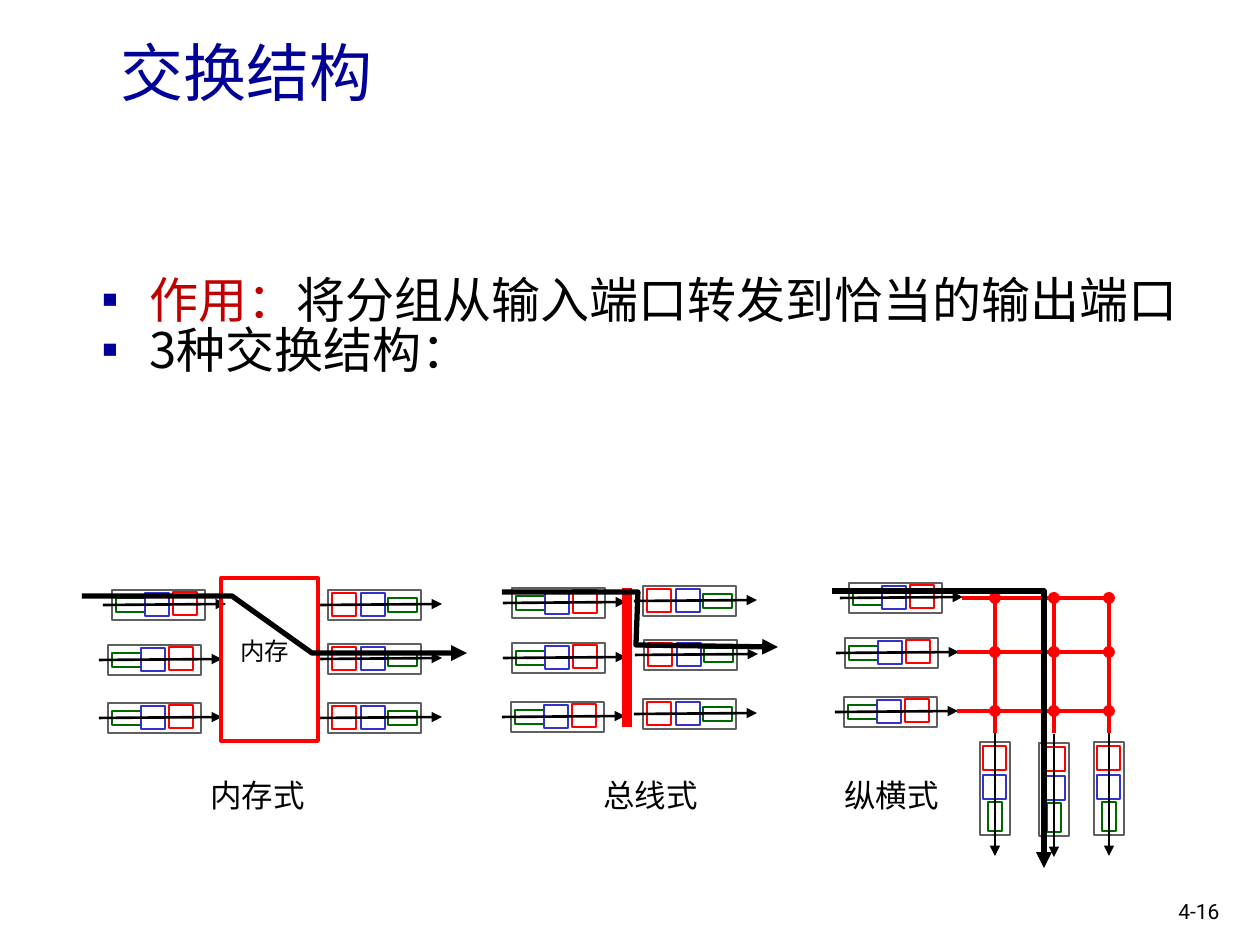
from lxml import etree
from pptx import Presentation
from pptx.dml.color import RGBColor
from pptx.enum.shapes import MSO_CONNECTOR, MSO_SHAPE
from pptx.enum.text import MSO_ANCHOR
from pptx.oxml.ns import qn
from pptx.util import Emu, Pt

RECT, OVAL = MSO_SHAPE.RECTANGLE, MSO_SHAPE.OVAL
STRAIGHT = MSO_CONNECTOR.STRAIGHT
TOP, MIDDLE = MSO_ANCHOR.TOP, MSO_ANCHOR.MIDDLE
SCALE = 914400 / 126  # EMU per px
CJK = "Noto Sans CJK SC"
COLORS = {"navy": "000099", "crimson": "C00000", "black": "000000", "white": "FFFFFF",
          "gray": "5F5F5F", "green": "006600", "blue": "3333CC", "red": "FF0000"}

# Content: place, paragraphs of (text, color) runs, size, font, anchor, wrap
TITLE = ((108, 24, 1071, 94), [[("交换结构", "navy")]], 36, CJK, MIDDLE, True)
BODY = ((89, 272, 1104, 640),
        [[("作用：", "crimson"), ("将分组从输入端口转发到恰当的输出端口", "black")],
         [("3种交换结构：", "black")]], 28, CJK, TOP, True)
LABELS = [
    ((198, 770, 121, 50), [[("内存式", "black")]], 18, CJK, TOP, False),
    ((228, 630, 74, 43), [[("内存", "black")]], 14, "Arial", TOP, False),
    ((591, 770, 121, 50), [[("总线式", "black")]], 18, CJK, TOP, False),
    ((832, 770, 121, 50), [[("纵横式", "black")]], 18, CJK, TOP, False),
    ((1166, 892, 77, 38), [[("4-16", "black")]], 12, "Roboto", TOP, True),
]

# Ports: frame corners, and the buffers inside as (color, along, across, length, depth)
INPUT_PORTS = [(112, 590), (108, 645), (108, 703), (512, 588), (512, 643), (511, 702),
               (849, 583), (845, 638), (844, 697)]
OUTPUT_PORTS = [(328, 590), (328, 644), (328, 703), (643, 586), (644, 640), (643, 699)]
DOWN_PORTS = [(1094, 742), (1039, 743), (980, 742)]
FRAME = ("gray", 0, 0, 93, 30)
INPUT_BUFFERS = [FRAME, ("green", 4, 8, 29, 14), ("blue", 33, 3, 24, 23), ("red", 61, 2, 24, 23)]
OUTPUT_BUFFERS = [FRAME, ("green", 60, 8, 29, 14), ("blue", 33, 3, 24, 23), ("red", 4, 3, 24, 23)]

# Switching fabrics
MEMORY = (221, 578, 97, 163)
BUS = (627, 588, 627, 727)
GRID_ROWS = [(962, 598), (957, 652), (957, 711)]  # start x, y
GRID_COLUMNS = [995, 1054, 1109]
GRID_BOTTOM, DOT = 733, 12
ROUTES = [
    [(82, 596), (232, 596), (312, 653), (467, 653)],
    [(502, 592), (638, 592), (636, 645), (778, 647)],
    [(832, 591), (1044, 591), (1044, 868)],
]


def px(*values):
    return [Emu(round(value * SCALE)) for value in values]


def rgb(name):
    return RGBColor.from_string(COLORS[name])


def set_line(shape, color, width, arrow=False):
    shape.line.color.rgb = rgb(color)
    shape.line.width = Pt(width)
    if arrow:
        etree.SubElement(shape.line._get_or_add_ln(), qn("a:tailEnd"), type="triangle")


def add_text(page, place, paragraphs, size, font, anchor, wrap):
    box = page.shapes.add_textbox(*px(*place))
    frame = box.text_frame
    frame.word_wrap = wrap
    frame.vertical_anchor = anchor
    for number, spans in enumerate(paragraphs):
        para = frame.add_paragraph() if number else frame.paragraphs[0]
        for text, color in spans:
            span = para.add_run()
            span.text = text
            span.font.size = Pt(size)
            span.font.name = font
            span.font.color.rgb = rgb(color)
            etree.SubElement(span.font._element, qn("a:ea"), typeface=CJK)
    return box


def add_bullet(para, color):
    para.line_spacing = 0.85
    props = para._p.get_or_add_pPr()
    indent = px(48)[0]
    props.set("marL", str(indent))
    props.set("indent", str(-indent))
    bullet_color = etree.SubElement(props, qn("a:buClr"))
    etree.SubElement(bullet_color, qn("a:srgbClr"), val=COLORS[color])
    etree.SubElement(props, qn("a:buFont"), typeface="Arial")
    etree.SubElement(props, qn("a:buChar"), char="▪")


def add_shape(shapes, kind, place, fill=None, line=None, width=1.5):
    shape = shapes.add_shape(kind, *px(*place))
    shape.shadow.inherit = False
    if fill:
        shape.fill.solid()
        shape.fill.fore_color.rgb = rgb(fill)
    else:
        shape.fill.background()
    if line:
        set_line(shape, line, width)
    else:
        shape.line.fill.background()


def add_line(shapes, ends, color, width, arrow=False):
    line = shapes.add_connector(STRAIGHT, *px(*ends))
    set_line(line, color, width, arrow)
    etree.SubElement(line._element.spPr, qn("a:effectLst"))


def add_port(page, corner, buffers, down=False):
    x, y = corner
    shapes = page.shapes.add_group_shape().shapes
    for color, along, across, length, depth in buffers:
        if down:
            place = (x + across, y + along, depth, length)
        else:
            place = (x + along, y + across, length, depth)
        add_shape(shapes, RECT, place, "white", color)
    if down:
        ends = (x + 15, y - 9, x + 15, y + 114)
    else:
        ends = (x - 9, y + 15, x + 114, y + 14)
    add_line(shapes, ends, "black", 1.5, arrow=True)


def add_route(page, points):
    builder = page.shapes.build_freeform(*points[0], scale=SCALE)
    builder.add_line_segments(points[1:], close=False)
    route = builder.convert_to_shape()
    route.shadow.inherit = False
    route.fill.background()
    set_line(route, "black", 3, arrow=True)


def main():
    deck = Presentation()
    deck.slide_width, deck.slide_height = px(1260, 945)
    page = deck.slides.add_slide(deck.slide_layouts[6])

    # Title and bullets
    add_text(page, *TITLE)
    for para in add_text(page, *BODY).text_frame.paragraphs:
        add_bullet(para, "navy")

    # Ports
    for corner in INPUT_PORTS:
        add_port(page, corner, INPUT_BUFFERS)
    for corner in OUTPUT_PORTS:
        add_port(page, corner, OUTPUT_BUFFERS)
    for corner in DOWN_PORTS:
        add_port(page, corner, OUTPUT_BUFFERS, down=True)

    # Memory, bus and crossbar
    add_shape(page.shapes, RECT, MEMORY, line="red", width=2.25)
    add_line(page.shapes, BUS, "red", 6)
    for start, y in GRID_ROWS:
        add_line(page.shapes, (start, y, GRID_COLUMNS[-1], y), "red", 2.25)
    for x in GRID_COLUMNS:
        add_line(page.shapes, (x, GRID_BOTTOM, x, GRID_ROWS[0][1]), "red", 2.25)
        for _, y in GRID_ROWS:
            add_shape(page.shapes, OVAL, (x - DOT / 2, y - DOT / 2, DOT, DOT), "red")

    # Labels and packet routes
    for label in LABELS:
        add_text(page, *label)
    for points in ROUTES:
        add_route(page, points)

    deck.save("out.pptx")


if __name__ == "__main__":
    main()
